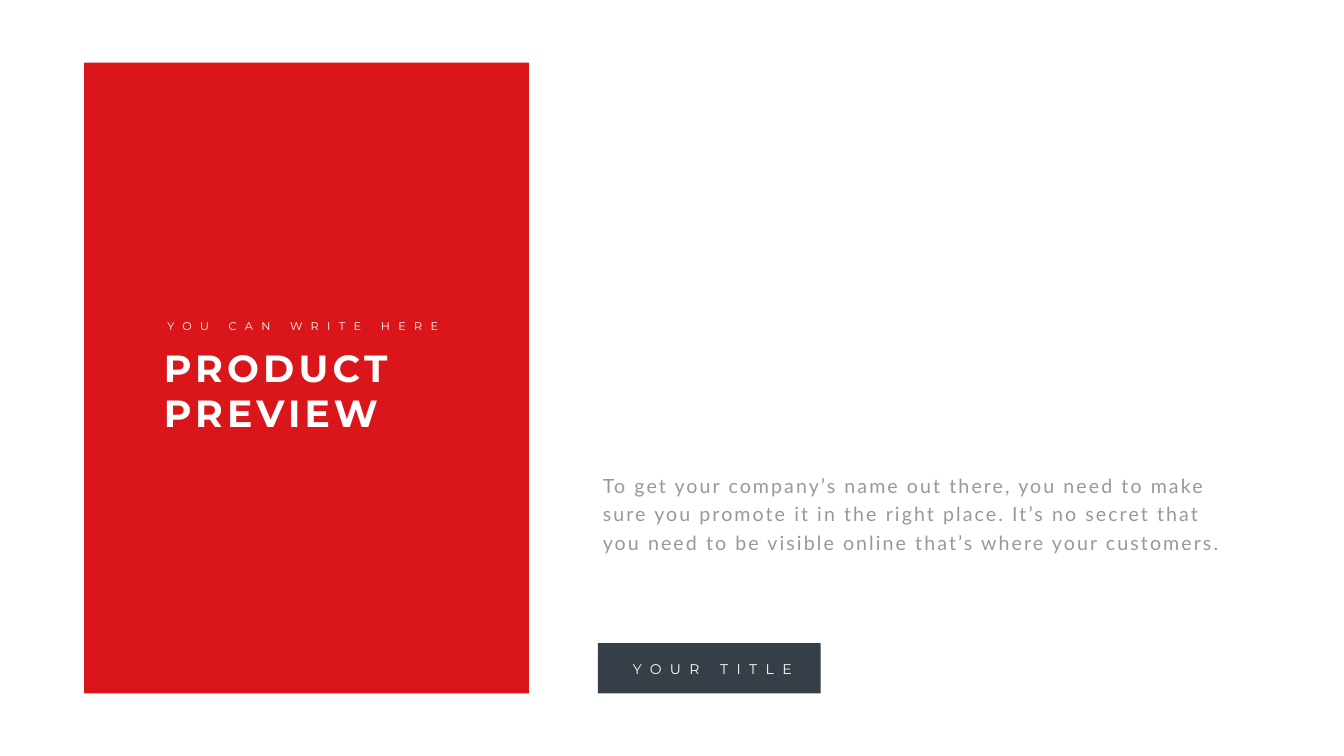
"""Builds a product preview slide with a red title panel, a paragraph and a label."""
from pptx import Presentation
from pptx.dml.color import RGBColor
from pptx.enum.shapes import MSO_SHAPE
from pptx.enum.text import MSO_AUTO_SIZE, PP_ALIGN
from pptx.util import Pt

RECT = MSO_SHAPE.RECTANGLE
GROW = MSO_AUTO_SIZE.SHAPE_TO_FIT_TEXT
LEFT, CENTER = PP_ALIGN.LEFT, PP_ALIGN.CENTER
COLORS = {"red": "DB161B", "slate": "363E48", "gray": "999999", "white": "FFFFFF"}


def add_panel(shapes, x, y, w, h, color):
    sp = shapes.add_shape(RECT, Pt(x), Pt(y), Pt(w), Pt(h))
    sp.shadow.inherit = False
    sp.fill.solid()
    sp.fill.fore_color.rgb = RGBColor.from_string(COLORS[color])
    sp.line.fill.background()


def add_text(shapes, x, y, w, h, text, size, font, color, spacing,
             bold=False, wrap=True, align=LEFT, leading=None):
    tf = shapes.add_textbox(Pt(x), Pt(y), Pt(w), Pt(h)).text_frame
    tf.word_wrap = wrap
    tf.auto_size = GROW
    p = tf.paragraphs[0]
    p.alignment = align
    if leading:
        p.line_spacing = Pt(leading)
    r = p.add_run()
    r.text = text
    r.font.size = Pt(size)
    r.font.name = font
    r.font.bold = bold
    r.font.color.rgb = RGBColor.from_string(COLORS[color])
    r._r.get_or_add_rPr().set("spc", str(spacing * 100))


prs = Presentation()
prs.slide_width, prs.slide_height = Pt(1919.52), Pt(1080)
s = prs.slides.add_slide(prs.slide_layouts[6])

add_text(s.shapes, 853.92, 666, 923.04, 127.44,
         "To get your company’s name out there, you need to make sure you promote it "
         "in the right place. It’s no secret that you need to be visible online "
         "that’s where your customers.",
         28, "Lato", "gray", 3, leading=40.8)

title = s.shapes.add_group_shape().shapes
add_panel(title, 120.24, 89.28, 635.04, 901.44, "red")
add_text(title, 226.8, 488.88, 416.16, 138.24, "PRODUCT PREVIEW",
         54, "Montserrat", "white", 6, bold=True)
add_text(title, 231.84, 452.88, 416.16, 26.64, "YOU CAN WRITE HERE",
         16, "Montserrat", "white", 12, wrap=False)

label = s.shapes.add_group_shape().shapes
add_panel(label, 853.92, 918.72, 318.24, 72, "slate")
add_text(label, 889.2, 940.32, 256.32, 31.68, "YOUR TITLE",
         20, "Montserrat", "white", 12, wrap=False, align=CENTER)

prs.save("out.pptx")
